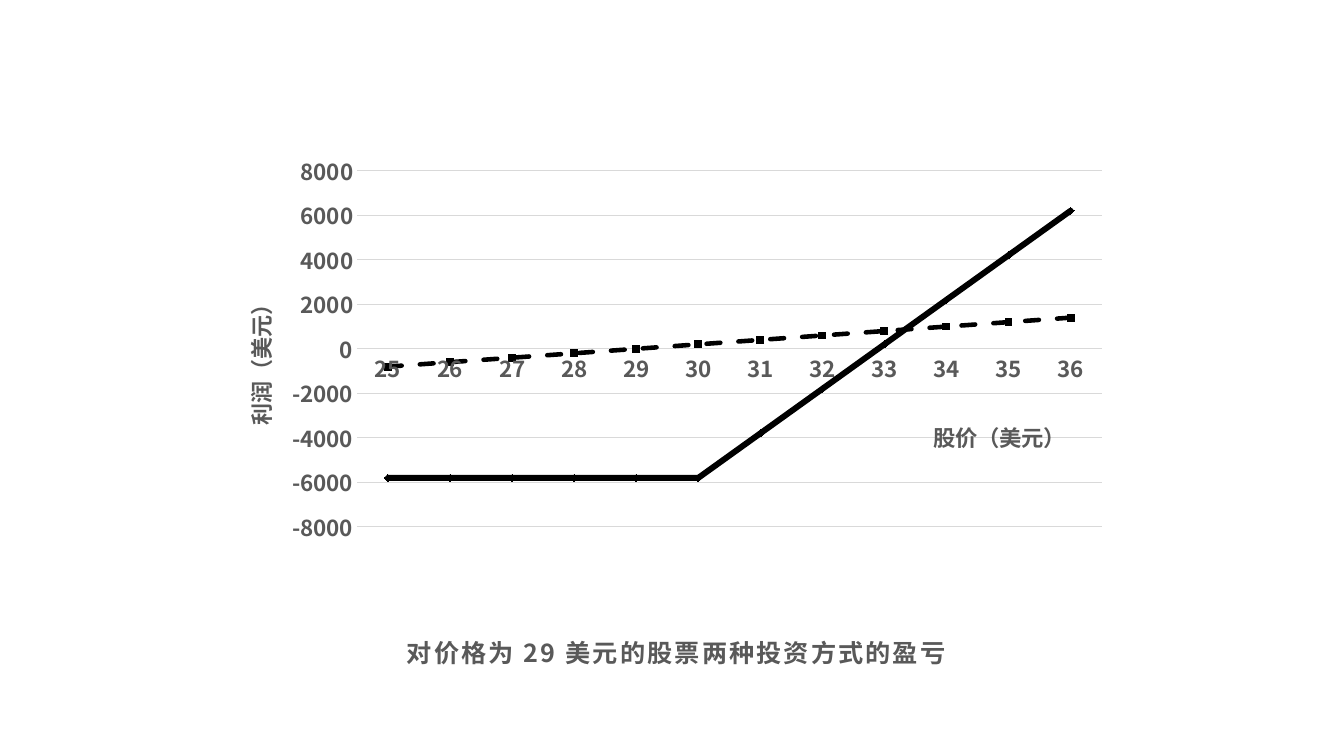
from lxml.etree import SubElement as Sub
from pptx import Presentation as Deck
from pptx.chart.data import CategoryChartData as Data
from pptx.dml.color import RGBColor as RGB
from pptx.enum.chart import XL_CHART_TYPE as Kind, XL_TICK_MARK as Tick
from pptx.enum.dml import MSO_LINE as Dash
from pptx.oxml.ns import qn
from pptx.util import Pt

FACE = "Noto Sans CJK SC"
BLACK, GREY, PALE = "000000", "595959", "D9D9D9"
STOCK = range(-800, 1401, 200)
OPTION = [max(-5800, 2000 * cost - 65800) for cost in range(25, 37)]


def put(item, **vals):
    """Set each attribute of an item from a dict of values."""
    for key, val in vals.items():
        setattr(item, key, val)


def tint(color, code):
    """Give a colour format the colour of a hex string."""
    color.rgb = RGB.from_string(code)


def style(font, size=16):
    """Format a font as bold grey text in the slide's face."""
    tint(font.color, GREY)
    put(font, name=FACE, size=Pt(size), bold=True)
    Sub(font._rPr, qn("a:ea"), typeface=FACE)


def rule(line, code, width, dash=None):
    """Format a line with a colour, a width and an optional dash."""
    tint(line.color, code)
    put(line, width=Pt(width))
    if dash:
        line.dash_style = dash


def place(part, inner=False, **spots):
    """Fix a chart part at fractions of the chart's size."""
    box = part.find(qn("c:layout"))
    if box is None:
        box = Sub(part, qn("c:layout"))
        text = part.find(qn("c:tx"))
        part.insert(0 if text is None else part.index(text) + 1, box)
    man = Sub(box, qn("c:manualLayout"))
    if inner:
        Sub(man, qn("c:layoutTarget"), val="inner")
    for key in "xy":
        Sub(man, qn(f"c:{key}Mode"), val="edge")
    for key, val in spots.items():
        Sub(man, qn(f"c:{key}"), val=str(val))


def label(title, text, x, y, size=16, turn=False, gap=0):
    """Write a chart or axis title and place it."""
    frame = title.text_frame
    frame.text = text
    font = frame.paragraphs[0].runs[0].font
    style(font, size)
    if gap:
        font._rPr.set("spc", str(gap))
    if turn:
        body = frame._txBody.find(qn("a:bodyPr"))
        body.set("rot", "-5400000")
        body.set("vert", "horz")
    place(title._element, x=x, y=y)


def axes(chart):
    """Format both axes, the grid and the axis titles."""
    cat, val = chart.category_axis, chart.value_axis
    for axis in (cat, val):
        put(axis, major_tick_mark=Tick.NONE, minor_tick_mark=Tick.NONE)
        style(axis.tick_labels.font)
    put(val, minimum_scale=-8000, maximum_scale=8000, major_unit=2000,
        has_major_gridlines=True)
    rule(cat.format.line, PALE, 0.75)
    rule(val.major_gridlines.format.line, PALE, 0.75)
    val.format.line.fill.background()
    label(cat.axis_title, "股价(美元)".replace("(", "（").replace(")", "）"),
          0.79, 0.57)
    label(val.axis_title, "利润（美元）", 0.03, 0.36, turn=True)


def lines(plot):
    """Format the two profit lines."""
    plot.vary_by_categories = False
    looks = ((3.25, Dash.DASH), (4.25, None))
    for row, (width, dash) in zip(plot.series, looks):
        row.smooth = False
        row.marker.style = None
        rule(row.format.line, BLACK, width, dash)
        row.format.line._ln.set("cap", "rnd")


def graph(slide):
    """Add the profit chart to the slide."""
    data = Data()
    data.categories = [str(cost) for cost in range(25, 37)]
    data.add_series("投资股票", STOCK)
    data.add_series("投资期权", OPTION)
    chart = slide.shapes.add_chart(Kind.LINE, Pt(151.2), Pt(56.9), Pt(648.7),
                                   Pt(427), data).chart
    style(chart.font)
    put(chart, has_legend=False, has_title=True)
    label(chart.chart_title, "对价格为 29 美元的股票两种投资方式的盈亏",
          0.21, 0.93, size=18, gap=150)
    axes(chart)
    lines(chart.plots[0])
    area = chart._chartSpace.find(".//" + qn("c:plotArea"))
    place(area, inner=True, x=0.16, y=0.155, w=0.82, h=0.606)


def main():
    """Build the slide and save it."""
    deck = Deck()
    put(deck, slide_width=Pt(960), slide_height=Pt(540))
    graph(deck.slides.add_slide(deck.slide_layouts[6]))
    deck.save("out.pptx")


if __name__ == "__main__":
    main()
